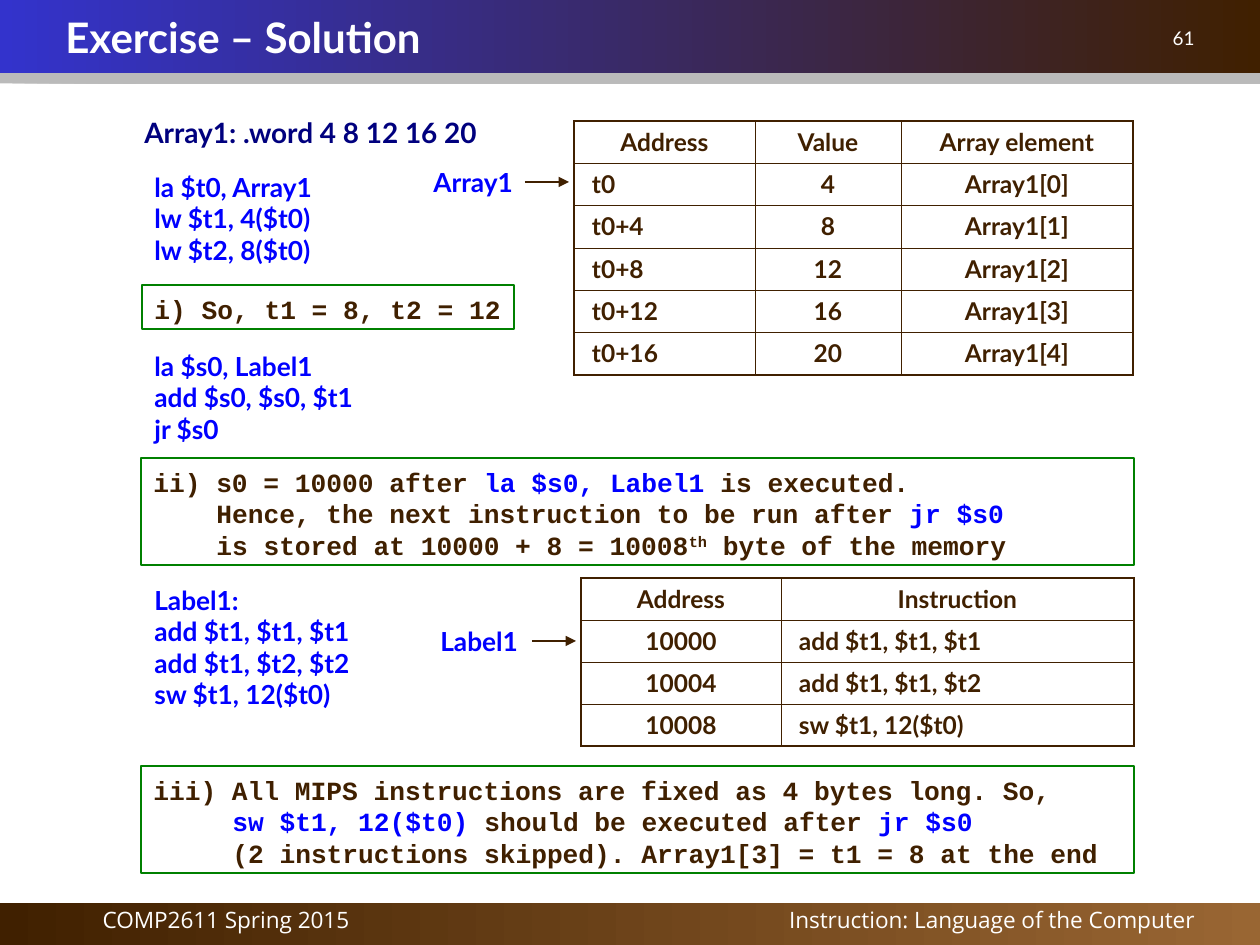
"""Build the exercise solution slide on arrays, labels and jumps."""
from dataclasses import dataclass

from lxml.etree import SubElement
from pptx import Presentation
from pptx.dml.color import RGBColor
from pptx.enum.shapes import MSO_CONNECTOR, MSO_SHAPE
from pptx.enum.text import MSO_ANCHOR, PP_ALIGN
from pptx.oxml.ns import qn
from pptx.util import Pt


@dataclass(frozen=True)
class Theme:
    brown: str = "402000"
    tan: str = "996633"
    indigo: str = "3333CC"
    navy: str = "00007E"
    blue: str = "0000FF"
    green: str = "008000"
    white: str = "FFFFFF"
    shade: str = "777777"
    sans: str = "Lato"
    footer: str = "Open Sans"
    mono: str = "Courier New"
    title_size: float = 24
    heading_size: float = 16
    code_size: float = 15
    table_size: float = 14
    footer_size: float = 12.9
    number_size: float = 10.8
    thin: float = 0.45
    thick: float = 1.08
    line: float = 0.75


T = Theme()
EMU_PER_PX = 914400 / 126
CODE = dict(name=T.sans, size=T.code_size, color=T.blue, bold=True)
CELL = dict(name=T.sans, size=T.table_size, color=T.brown, bold=True)
MONO = dict(name=T.mono, size=T.code_size, color=T.brown, bold=True)
FOOTER = dict(name=T.footer, size=T.footer_size, color=T.white)
NUMBER = dict(name=T.sans, size=T.number_size, color=T.white)
TITLE = dict(name=T.sans, size=T.title_size, color=T.white, bold=True)
HEADING = dict(name=T.sans, size=T.heading_size, color=T.navy, bold=True)
BLUE = dict(color=T.blue)


def px(n):
    return round(n * EMU_PER_PX)


def apply(obj, values):
    for key, value in values.items():
        setattr(obj, key, value)


class Deck:
    def __init__(self):
        self.prs = Presentation()
        apply(self.prs, dict(slide_width=px(1260), slide_height=px(945)))
        self.s = self.prs.slides.add_slide(self.prs.slide_layouts[6])

    def run(self, p, text, style):
        for i, part in enumerate(text.split("\n")):
            if i:
                p.add_line_break()
                SubElement(p._p[-1], qn("a:rPr"), sz=str(round(style["size"] * 100)))
            if not part:
                continue
            r = p.add_run()
            r.text = part
            apply(r.font, dict(name=style["name"], size=Pt(style["size"]),
                               bold=style.get("bold", False)))
            r.font.color.rgb = RGBColor.from_string(style["color"])
            if "raised" in style:
                r._r.get_or_add_rPr().set("baseline", str(style["raised"]))

    def fill_text(self, tf, paras, style, hang=0, wrap=True, top=6,
                  anchor=MSO_ANCHOR.TOP, **fmt):
        apply(tf, dict(word_wrap=wrap, vertical_anchor=anchor,
                       margin_left=px(12.6), margin_right=px(12.6),
                       margin_top=px(top), margin_bottom=px(6)))
        for i, runs in enumerate(paras):
            p = tf.add_paragraph() if i else tf.paragraphs[0]
            apply(p, dict(alignment=PP_ALIGN.LEFT) | fmt)
            if hang:
                pPr = p._p.get_or_add_pPr()
                pPr.set("marL", str(px(hang)))
                pPr.set("indent", str(0 if i else -px(hang)))
            for text, change in runs:
                self.run(p, text, style | change)

    def text(self, x, y, w, h, text, style, **fmt):
        sp = self.s.shapes.add_textbox(px(x), px(y), px(w), px(h))
        self.fill_text(sp.text_frame, [[(text, {})]], style, **fmt)

    def rect(self, x, y, w, h):
        sp = self.s.shapes.add_shape(MSO_SHAPE.RECTANGLE, px(x), px(y), px(w), px(h))
        sp.shadow.inherit = False
        return sp

    def band(self, y, h, colors, shadow=False):
        sp = self.rect(0, y, 1260, h)
        sp.line.fill.background()
        sp.fill.gradient()
        sp.fill.gradient_angle = 0
        for stop, color in zip(sp.fill.gradient_stops, colors):
            stop.color.rgb = RGBColor.from_string(color)
        if shadow:
            effects = sp._element.spPr.find(qn("a:effectLst"))
            outer = SubElement(effects, qn("a:outerShdw"), dist=str(Pt(6)),
                               dir="5400000", algn="ctr", rotWithShape="0")
            color = SubElement(outer, qn("a:srgbClr"), val=T.shade)
            SubElement(color, qn("a:alpha"), val="50000")

    def answer(self, x, y, w, h, paras, **fmt):
        sp = self.rect(x, y, w, h)
        sp.fill.background()
        sp.line.color.rgb = RGBColor.from_string(T.green)
        sp.line.width = Pt(T.line)
        self.fill_text(sp.text_frame, paras, MONO, top=8, line_spacing=Pt(18), **fmt)

    def arrow(self, x, y, w):
        cx = self.s.shapes.add_connector(MSO_CONNECTOR.STRAIGHT,
                                         px(x), px(y), px(x + w), px(y))
        cx.line.color.rgb = RGBColor.from_string(T.brown)
        cx.line.width = Pt(T.line)
        SubElement(cx.line._get_or_add_ln(), qn("a:tailEnd"), type="triangle")
        SubElement(cx._element.spPr, qn("a:effectLst"))

    def border(self, cell, edges):
        tcPr = cell._tc.get_or_add_tcPr()
        for side, outer in edges.items():
            width = Pt(T.thick if outer else T.thin)
            ln = SubElement(tcPr, qn(f"a:ln{side}"), w=str(width))
            SubElement(SubElement(ln, qn("a:solidFill")), qn("a:srgbClr"), val=T.brown)

    def table(self, x, y, h, widths, rows, left_col):
        n, m = len(rows), len(widths)
        frame = self.s.shapes.add_table(n, m, px(x), px(y), px(sum(widths)), px(h))
        tbl = frame.table
        apply(tbl, dict(first_row=False, horz_banding=False))
        for col, width in zip(tbl.columns, widths):
            col.width = px(width)
        for i, row in enumerate(rows):
            tbl.rows[i].height = px(h / n)
            for j, value in enumerate(row):
                cell = tbl.cell(i, j)
                left = i > 0 and j == left_col
                self.border(cell, dict(L=j == 0, R=j == m - 1, T=i == 0, B=i == n - 1))
                cell.fill.background()
                apply(cell, dict(margin_left=px(18 if left else 12.6), margin_right=px(12.6),
                                 margin_top=px(6), margin_bottom=px(6)))
                p = cell.text_frame.paragraphs[0]
                p.alignment = PP_ALIGN.LEFT if left else PP_ALIGN.CENTER
                self.run(p, value, CELL)


def main():
    d = Deck()
    d.band(903, 42, (T.brown, T.tan))
    d.band(0, 73, (T.indigo, T.brown), shadow=True)
    d.text(32, 903, 388, 42, "COMP2611 Spring 2015", FOOTER,
           alignment=PP_ALIGN.CENTER, line_spacing=0.9)
    d.text(577, 903, 630, 42, "Instruction: Language of the Computer", FOOTER,
           alignment=PP_ALIGN.RIGHT, line_spacing=0.9)
    d.text(945, 21, 262, 42, "61", NUMBER, alignment=PP_ALIGN.RIGHT)
    d.text(53, 0, 1155, 73, "Exercise – Solution", TITLE, anchor=MSO_ANCHOR.MIDDLE)
    d.text(132, 113, 420, 43, "Array1: .word 4 8 12 16 20", HEADING, line_spacing=0.9)

    values = [(f"t0+{4 * i}" if i else "t0", str(4 * i + 4), f"Array1[{i}]")
              for i in range(5)]
    d.table(574, 121, 254, (181, 146, 232),
            [("Address", "Value", "Array element"), *values], left_col=0)
    d.table(581, 578, 168, (200, 353),
            [("Address", "Instruction"), ("10000", "add $t1, $t1, $t1"),
             ("10004", "add $t1, $t1, $t2"), ("10008", "sw $t1, 12($t0)")], left_col=1)

    for label, x, y in (("Array1", 421, 160), ("Label1", 428, 619)):
        d.text(x, y, 112, 44, label, CODE, wrap=False)
        d.arrow(x + 104, y + 22, 44)
    for y, h, code in (
            (165, 107, "la $t0, Array1\nlw $t1, 4($t0)\nlw $t2, 8($t0)"),
            (344, 107, "la $s0, Label1\nadd $s0, $s0, $t1\njr $s0"),
            (578, 139, "Label1:\nadd $t1, $t1, $t1\nadd $t1, $t2, $t2\nsw $t1, 12($t0)")):
        d.text(142, y, 262, h, code, CODE)

    d.answer(142, 285, 372, 44, [[("i) So, t1 = 8, t2 = 12", {})]], wrap=False)
    d.answer(141, 458, 993, 107, [
        [("ii) s0 = 10000 after ", {}), ("la $s0, Label1", BLUE), (" is executed.", {})],
        [("Hence, the next instruction to be run after ", {}), ("jr $s0\n", BLUE),
         ("is stored at 10000 + 8 = 10008", {}), ("th", dict(raised=30000)),
         (" byte of the memory", {})]], hang=63)
    d.answer(141, 766, 993, 107, [
        [("iii) All MIPS instructions are fixed as 4 bytes long. So,\n", {}),
         ("sw $t1, 12($t0)", BLUE), (" should be executed after ", {}), ("jr $s0\n", BLUE),
         ("(2 instructions skipped). Array1[3] = t1 = 8 at the end", {})]], hang=79)
    d.prs.save("out.pptx")


if __name__ == "__main__":
    main()
